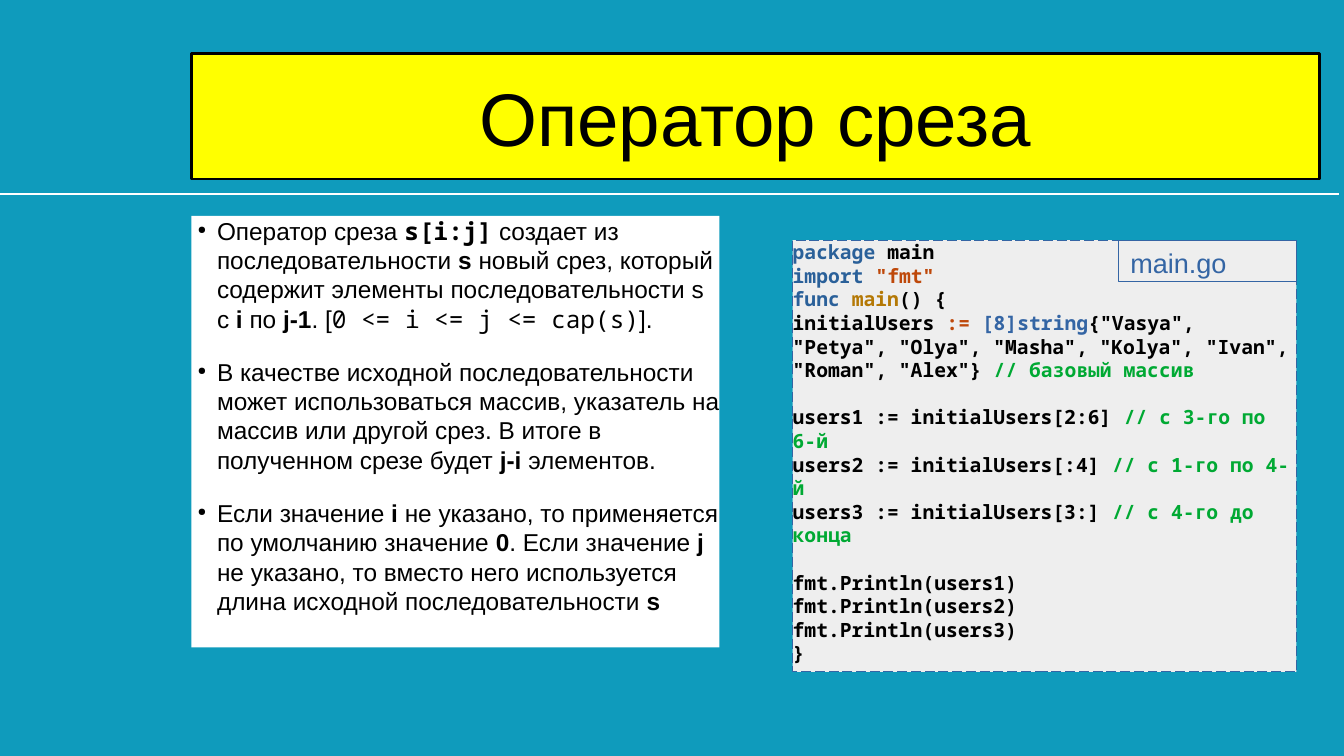
"""Build the slide about the Go slice operator."""
from lxml import etree
from pptx import Presentation
from pptx.dml.color import RGBColor
from pptx.enum.dml import MSO_LINE
from pptx.enum.shapes import MSO_CONNECTOR, MSO_SHAPE
from pptx.enum.text import MSO_ANCHOR, MSO_AUTO_SIZE, PP_ALIGN
from pptx.oxml.ns import qn
from pptx.util import Inches, Pt

RECTANGLE, STRAIGHT = MSO_SHAPE.RECTANGLE, MSO_CONNECTOR.STRAIGHT
LONG_DASH, NO_AUTOFIT = MSO_LINE.LONG_DASH, MSO_AUTO_SIZE.NONE
TOP, MIDDLE = MSO_ANCHOR.TOP, MSO_ANCHOR.MIDDLE
LEFT, CENTER = PP_ALIGN.LEFT, PP_ALIGN.CENTER

TITLE = [[("Оператор среза", "title")]]
NOTES = [
    [("Оператор среза ", "text"), ("s[i:j]", "strong code"),
     (" создает из последовательности ", "text"), ("s", "strong"),
     (" новый срез, который содержит элементы последовательности s с ", "text"),
     ("i", "strong"), (" по ", "text"), ("j-1", "strong"), (". [", "text"),
     ("0 <= i <= j <= cap(s)", "inline code"), ("].", "text")],
    [("В качестве исходной последовательности может использоваться массив, "
      "указатель на массив или другой срез. В итоге в полученном срезе будет ", "text"),
     ("j-i ", "strong"), ("элементов.", "text")],
    [("Если значение ", "text"), ("i", "strong"),
     (" не указано, то применяется по умолчанию значение ", "text"), ("0", "strong"),
     (". Если значение ", "text"), ("j ", "strong"),
     ("не указано, то вместо него используется длина исходной последовательности ", "text"),
     ("s", "strong")],
]
CODE_BLOCKS = [
    [
        [("package", "keyword"), (" main", "code")],
        [("import ", "keyword"), ('"fmt"', "literal")],
        [("func ", "keyword"), ("main", "function"), ("() {", "code")],
        [("initialUsers ", "code"), (":= ", "literal"), ("[8]string", "type"),
         ('{"Vasya", "Petya", "Olya", "Masha", "Kolya", "Ivan", "Roman", "Alex"}', "code"),
         (" // базовый массив", "comment")],
    ],
    [
        [("users1 := initialUsers[2:6]", "code"), (" // с 3-го по 6-й", "comment")],
        [("users2 := initialUsers[:4]", "code"), (" // с 1-го по 4-й", "comment")],
        [("users3 := initialUsers[3:]", "code"), (" // с 4-го до конца", "comment")],
    ],
    [[(line, "code")] for line in
     ("fmt.Println(users1)", "fmt.Println(users2)", "fmt.Println(users3)", "}")],
]
FILE_NAME = [[("main.go", "file name")]]

SANS, MONO = "Arial", "Noto Sans Mono"
THEME = {
    "background": "0F9BBC", "title fill": "FFFF00", "black": "000000",
    "white": "FFFFFF", "code fill": "EEEEEE", "code line": "3465A4",
    "bullet size": 45, "note gap": 14.2, "code gap": 14,
    "runs": {
        "title": (SANS, 44, False, "000000"),
        "text": (SANS, 14.4, False, "000000"),
        "strong": (SANS, 14.4, True, "000000"),
        "strong code": (MONO, 14.4, True, "000000"),
        "inline code": (MONO, 14.4, False, "000000"),
        "file name": (SANS, 16, False, "3465A4"),
        "code": (MONO, 11.6, True, "000000"),
        "keyword": (MONO, 11.6, True, "2A6099"),
        "literal": (MONO, 11.6, True, "BE480A"),
        "function": (MONO, 11.6, True, "B47804"),
        "type": (MONO, 11.6, True, "3465A4"),
        "comment": (MONO, 11.6, True, "00A933"),
    },
}
SLIDE_WIDTH, SLIDE_HEIGHT = 11.02, 6.2
RULE_END, RULE_TOP = 10.98, 1.59
TITLE_BOX = (1.57, 0.44, 9.25, 1.03)
NOTES_BOX = (1.57, 1.77, 4.33, 3.54)
CODE_BOX = (6.5, 1.97, 4.13, 3.54)
TAG_WIDTH, TAG_HEIGHT = 1.46, 0.34
TAG_BOX = (CODE_BOX[0] + CODE_BOX[2] - TAG_WIDTH, CODE_BOX[1], TAG_WIDTH, TAG_HEIGHT)


def color(name):
    return RGBColor.from_string(THEME[name])


def set_all(target, values):
    for name, value in values.items():
        setattr(target, name, value)


def paint(shape, fill=None, line=None, width=0, dash=None):
    if fill:
        shape.fill.solid()
        shape.fill.fore_color.rgb = color(fill)
    else:
        shape.fill.background()
    if line:
        shape.line.color.rgb = color(line)
        set_all(shape.line, {"width": Pt(width), "dash_style": dash})
    else:
        shape.line.fill.background()


def write(shape, paragraphs, anchor=TOP, alignment=LEFT, margins=(0, 0)):
    frame = shape.text_frame
    side, edge = map(Inches, margins)
    set_all(frame, {"word_wrap": True, "auto_size": NO_AUTOFIT, "vertical_anchor": anchor,
                    "margin_left": side, "margin_right": side,
                    "margin_top": edge, "margin_bottom": edge})
    for index, runs in enumerate(paragraphs):
        paragraph = frame.add_paragraph() if index else frame.paragraphs[0]
        paragraph.alignment = alignment
        for text, style in runs:
            font_name, size, bold, text_color = THEME["runs"][style]
            run = paragraph.add_run()
            run.text = text
            set_all(run.font, {"name": font_name, "size": Pt(size), "bold": bold})
            run.font.color.rgb = RGBColor.from_string(text_color)
    return frame.paragraphs


def add_box(slide, box, **look):
    shape = slide.shapes.add_shape(RECTANGLE, *map(Inches, box))
    shape.shadow.inherit = False
    paint(shape, **look)
    return shape


def add_bullet(paragraph):
    properties = paragraph._p.get_or_add_pPr()
    properties.set("marL", str(Inches(0.21)))
    properties.set("indent", str(Inches(-0.16)))
    bullet_color = etree.SubElement(properties, qn("a:buClr"))
    etree.SubElement(bullet_color, qn("a:srgbClr"), val=THEME["black"])
    etree.SubElement(properties, qn("a:buSzPct"), val=str(THEME["bullet size"] * 1000))
    etree.SubElement(properties, qn("a:buChar"), char="●")


def add_rule(slide):
    rule = slide.shapes.add_connector(
        STRAIGHT, *map(Inches, (0, RULE_TOP, RULE_END, RULE_TOP)))
    rule.line.color.rgb = color("white")
    rule.line.width = Pt(1.5)
    etree.SubElement(rule._element.spPr, qn("a:effectLst"))


def add_title(slide):
    title = slide.shapes.title
    set_all(title, dict(zip(("left", "top", "width", "height"), map(Inches, TITLE_BOX))))
    paint(title, fill="title fill", line="black", width=1.5)
    write(title, TITLE, anchor=MIDDLE, alignment=CENTER)


def add_notes(slide):
    for paragraph in write(add_box(slide, NOTES_BOX, fill="white"), NOTES):
        paragraph.space_before = Pt(THEME["note gap"])
        add_bullet(paragraph)


def add_code(slide):
    panel = add_box(slide, CODE_BOX, fill="code fill", line="code line", dash=LONG_DASH)
    paragraphs = write(panel, [line for block in CODE_BLOCKS for line in block])
    block_start = 0
    for block in CODE_BLOCKS[:-1]:
        block_start += len(block)
        paragraphs[block_start].space_before = Pt(THEME["code gap"])
    write(add_box(slide, TAG_BOX, line="code line"), FILE_NAME, margins=(0.1, 0.05))


def main():
    presentation = Presentation()
    set_all(presentation, {"slide_width": Inches(SLIDE_WIDTH),
                           "slide_height": Inches(SLIDE_HEIGHT)})
    slide = presentation.slides.add_slide(presentation.slide_layouts.get_by_name("Title Only"))
    slide.background.fill.solid()
    slide.background.fill.fore_color.rgb = color("background")
    for add_part in (add_rule, add_title, add_notes, add_code):
        add_part(slide)
    presentation.save("out.pptx")


if __name__ == "__main__":
    main()
